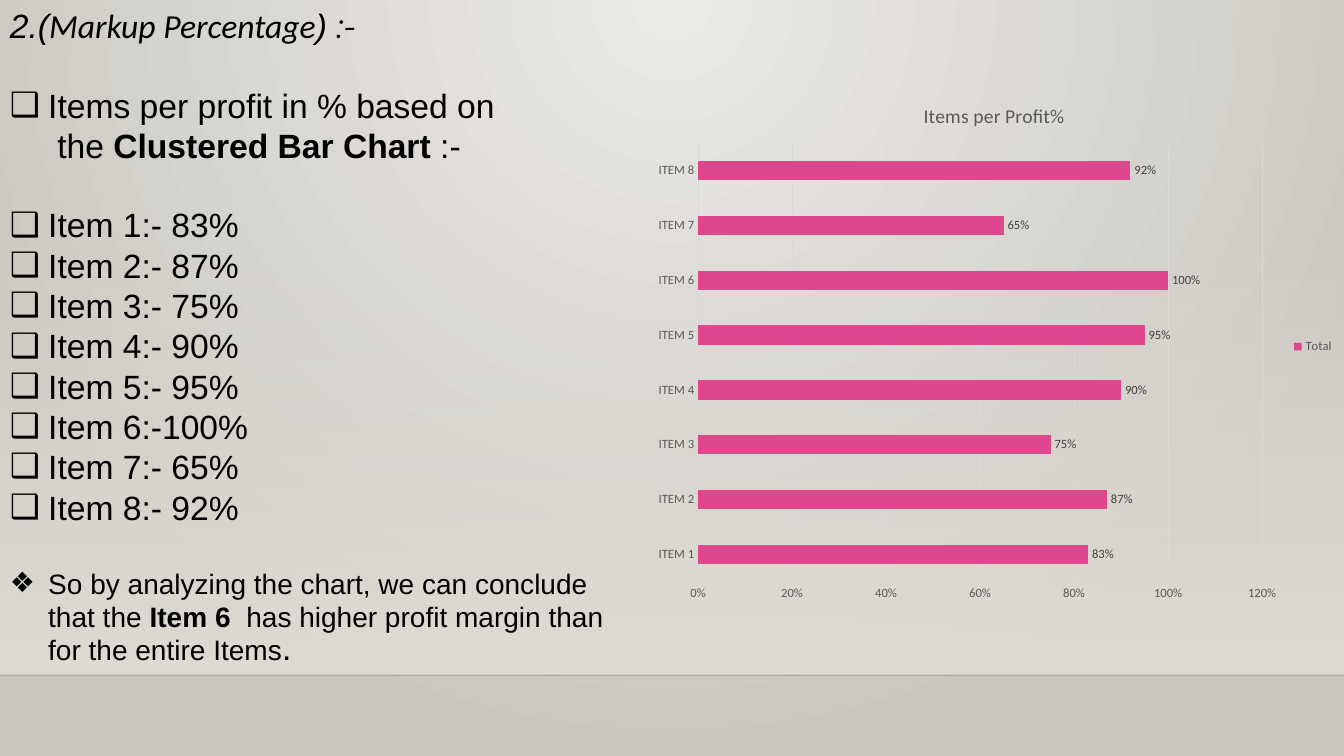
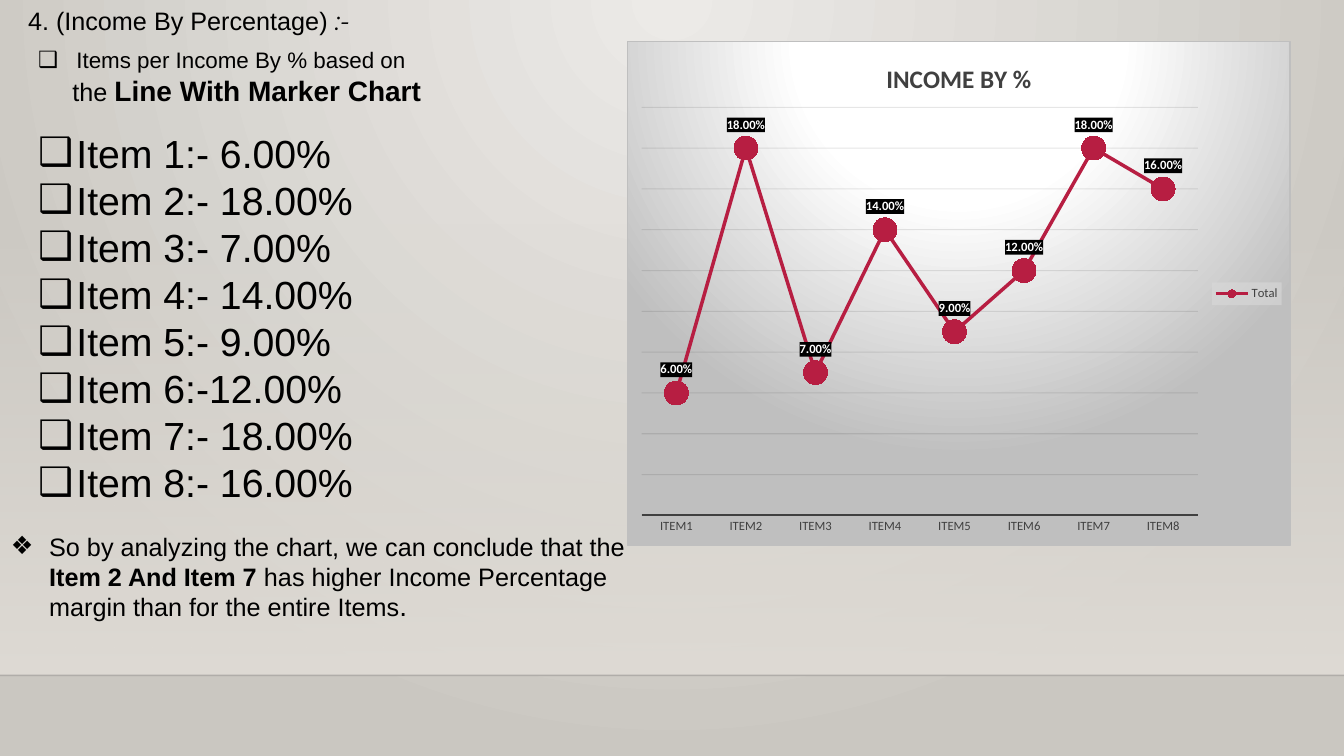
from dataclasses import dataclass

from pptx import Presentation
from pptx.chart.data import CategoryChartData
from pptx.dml.color import RGBColor
from pptx.enum.chart import XL_CHART_TYPE, XL_LABEL_POSITION, XL_LEGEND_POSITION, XL_MARKER_STYLE, XL_TICK_LABEL_POSITION, XL_TICK_MARK
from pptx.enum.shapes import MSO_CONNECTOR, MSO_SHAPE
from pptx.oxml import parse_xml
from pptx.oxml.ns import nsdecls, qn
from pptx.util import Inches, Pt


@dataclass(frozen=True)
class Theme:
    text: str = "000000"
    glow: str = "ECEAE7"
    edge: str = "CAC7C1"
    floor: str = "DFDBD5"
    rule: str = "000001"
    soft: str = "595959"
    strong: str = "404040"
    pale: str = "D9D9D9"
    grid: str = "0D0D0D"
    white: str = "FFFFFF"
    silver: str = "BFBFBF"
    pink: str = "DE478E"
    red: str = "B71E42"
    body: str = "Arial"
    chart: str = "Calibri"
    accent: str = "Montserrat"
    small: int = 9
    leading: float = 1.2


THEME = Theme()
BOX, DIAMOND = "❑", "❖"
HANG = 0.38

MARKUP = [0.83, 0.87, 0.75, 0.9, 0.95, 1, 0.65, 0.92]
INCOME = [0.06, 0.18, 0.07, 0.14, 0.09, 0.12, 0.18, 0.16]
MARKUP_ITEMS = ["Item 1:- 83%", "Item 2:- 87%", "Item 3:- 75%", "Item 4:- 90%",
                "Item 5:- 95%", "Item 6:-100%", "Item 7:- 65%", "Item 8:- 92%"]
INCOME_ITEMS = ["Item 1:- 6.00%", "Item 2:- 18.00%", "Item 3:- 7.00%", "Item 4:- 14.00%",
                "Item 5:- 9.00%", "Item 6:-12.00%", "Item 7:- 18.00%", "Item 8:- 16.00%"]


def item_lines(items, size, first_gap=0):
    return [dict(bullet=BOX, size=size, before=0 if n else first_gap, runs=[(item, {})])
            for n, item in enumerate(items)]


SLIDES = [
    dict(
        texts=[
            ((0, 0, 6.39, 6.7), [
                dict(size=24, runs=[
                    ("2.(", dict(italic=True)),
                    ("Markup Percentage", dict(italic=True, name=THEME.chart)),
                    (") ", dict(italic=True)),
                    (":-", dict(italic=True, name=THEME.accent))]),
                dict(bullet=BOX, size=24, before=28,
                     runs=[("Items per profit in % based on", {})]),
                dict(indent=0.47, size=24, runs=[
                    ("the ", {}), ("Clustered Bar Chart ", dict(bold=True)), (":-", {})]),
                *item_lines(MARKUP_ITEMS, 24, 28),
                dict(bullet=DIAMOND, size=20, before=28, runs=[
                    ("So by analyzing the chart, we can conclude that the ", {}),
                    ("Item 6  ", dict(bold=True)),
                    ("has higher profit margin than for the entire Items", {}),
                    (".", dict(size=Pt(24)))]),
            ]),
        ],
        chart=dict(
            kind=XL_CHART_TYPE.BAR_CLUSTERED, box=(6.39, 0.82, 6.94, 5.24),
            plot=(0.077, 0.115, 0.806, 0.83), title="Items per Profit%",
            title_font=dict(size=Pt(14), bold=False), ink=THEME.soft,
            categories=[f"ITEM {n}" for n in range(1, 9)], values=MARKUP,
            number_format="0%", scale=dict(minimum_scale=0, maximum_scale=1.2, major_unit=0.2),
            axis_line=(THEME.pale, 0.75), grid=(THEME.pale, 100),
            label_font=dict(bold=False), label_color=THEME.strong,
            label_position=XL_LABEL_POSITION.OUTSIDE_END),
    ),
    dict(
        texts=[
            ((0.18, 0, 4.86, 0.4), [
                dict(size=18, runs=[("4. (Income By Percentage) ", {}),
                                    (":-", dict(italic=True, name=THEME.accent))])]),
            ((0.28, 0.41, 4.13, 1.01), [
                dict(bullet=BOX, size=16, runs=[("Items per Income By % based on", {})]),
                dict(indent=0.34, size=18, runs=[
                    ("the ", {}),
                    ("Line With Marker Chart", dict(size=Pt(20), bold=True))])]),
            ((0.28, 1.23, 4.63, 3.87), item_lines(INCOME_ITEMS, 28)),
            ((0.01, 5.22, 6.67, 1.04), [
                dict(bullet=DIAMOND, size=18, runs=[
                    ("So by analyzing the chart, we can conclude that the ", {}),
                    ("Item 2 And Item 7 ", dict(bold=True)),
                    ("has higher Income Percentage margin than for the entire Items", {}),
                    (".", dict(size=Pt(20)))])]),
        ],
        chart=dict(
            kind=XL_CHART_TYPE.LINE_MARKERS, box=(6.22, 0.41, 6.58, 5.01),
            plot=(0.021, 0.13, 0.84, 0.81), title="INCOME BY %",
            title_font=dict(size=Pt(18), bold=True), ink=THEME.strong,
            categories=[f"ITEM{n}" for n in range(1, 9)], values=INCOME,
            number_format="0.00%", scale=dict(minimum_scale=0, maximum_scale=0.2, major_unit=0.02),
            axis_line=(THEME.strong, 1.5), grid=(THEME.grid, 10),
            label_font=dict(bold=True), label_color=THEME.white,
            label_position=XL_LABEL_POSITION.ABOVE),
    ),
]


def assign(target, values):
    for key, value in values.items():
        setattr(target, key, value)


def style_font(font, color, **values):
    assign(font, values)
    font.color.rgb = RGBColor.from_string(color)


def style_line(line, color, width):
    line.color.rgb = RGBColor.from_string(color)
    line.width = Pt(width)


def solid(color, alpha=100):
    return (f'<a:solidFill><a:srgbClr val="{color}"><a:alpha val="{alpha * 1000}"/>'
            '</a:srgbClr></a:solidFill>')


def gradient(stops, direction):
    marks = "".join(f'<a:gs pos="{pos * 1000}"><a:srgbClr val="{color}">'
                    f'<a:alpha val="{alpha * 1000}"/></a:srgbClr></a:gs>'
                    for pos, color, alpha in stops)
    return f'<a:gradFill {nsdecls("a")} rotWithShape="1"><a:gsLst>{marks}</a:gsLst>{direction}</a:gradFill>'


def radial(left, top, right, bottom):
    sides = " ".join(f'{side}="{value * 1000}"'
                     for side, value in zip("ltrb", (left, top, right, bottom)))
    return f'<a:path path="circle"><a:fillToRect {sides}/></a:path>'


def chart_part(tag, content):
    return parse_xml(f'<c:{tag} {nsdecls("c", "a")}>{content}</c:{tag}>')


def set_alpha(line, alpha):
    color = line._ln.find(f'.//{qn("a:srgbClr")}')
    color.append(parse_xml(f'<a:alpha {nsdecls("a")} val="{alpha * 1000}"/>'))


def build_backdrop(layout, slide):
    fill = gradient([(0, THEME.glow, 100), (100, THEME.edge, 100)], radial(43, 0, 43, 100))
    layout._element.cSld.insert(0, parse_xml(
        f'<p:bg {nsdecls("p", "a")}><p:bgPr>{fill}<a:effectLst/></p:bgPr></p:bg>'))

    wall = slide.shapes.add_shape(MSO_SHAPE.RECTANGLE, 0, Inches(2.21), Inches(13.33), Inches(4.49))
    wall.shadow.inherit = False
    wall.line.fill.background()
    wall.fill.background()
    no_fill = wall._element.spPr.find(qn("a:noFill"))
    no_fill.addprevious(parse_xml(gradient(
        [(0, THEME.floor, 0), (100, THEME.floor, 100)], '<a:lin ang="5400000" scaled="0"/>')))
    wall._element.spPr.remove(no_fill)

    horizon = slide.shapes.add_connector(
        MSO_CONNECTOR.STRAIGHT, 0, Inches(6.7), Inches(13.33), Inches(6.7))
    style_line(horizon.line, THEME.rule, 1)
    set_alpha(horizon.line, 20)
    horizon._element.spPr.append(parse_xml(f'<a:effectLst {nsdecls("a")}/>'))
    for part in (wall, horizon):
        layout.shapes._spTree.append(part._element)


def add_text(slide, box, lines):
    frame = slide.shapes.add_textbox(*map(Inches, box)).text_frame
    frame.word_wrap = True
    for n, line in enumerate(lines):
        paragraph = frame.add_paragraph() if n else frame.paragraphs[0]
        size = Pt(line["size"])
        tallest = max(values.get("size", size) for _, values in line["runs"][:2])
        assign(paragraph, dict(space_before=Pt(line.get("before", 0)),
                               line_spacing=Pt(tallest.pt * THEME.leading)))
        properties = paragraph._p.get_or_add_pPr()
        bullet = line.get("bullet")
        properties.set("marL", str(Inches(HANG if bullet else line.get("indent", 0))))
        properties.set("indent", str(Inches(-HANG if bullet else 0)))
        if bullet:
            properties.append(parse_xml(f'<a:buFont {nsdecls("a")} typeface="{THEME.body}"/>'))
            properties.append(parse_xml(f'<a:buChar {nsdecls("a")} char="{bullet}"/>'))
        for words, values in line["runs"]:
            run = paragraph.add_run()
            run.text = words
            style_font(run.font, THEME.text, **{"name": THEME.body, "size": size, **values})


def add_percent_chart(slide, spec):
    data = CategoryChartData(number_format=spec["number_format"])
    data.categories = spec["categories"]
    data.add_series("Total", spec["values"])
    chart = slide.shapes.add_chart(spec["kind"], *map(Inches, spec["box"]), data).chart
    small = dict(name=THEME.chart, size=Pt(THEME.small))
    style_font(chart.font, THEME.text, name=THEME.chart, size=Pt(10))

    assign(chart, dict(has_title=True, has_legend=True))
    chart.chart_title.include_in_layout = False
    heading = chart.chart_title.text_frame.paragraphs[0].add_run()
    heading.text = spec["title"]
    style_font(heading.font, spec["ink"], name=THEME.chart, **spec["title_font"])
    assign(chart.legend, dict(position=XL_LEGEND_POSITION.RIGHT, include_in_layout=False))
    style_font(chart.legend.font, spec["ink"], **small)

    no_ticks = dict(major_tick_mark=XL_TICK_MARK.NONE, minor_tick_mark=XL_TICK_MARK.NONE)
    assign(chart.category_axis, no_ticks)
    style_font(chart.category_axis.tick_labels.font, spec["ink"], **small)
    style_line(chart.category_axis.format.line, *spec["axis_line"])
    assign(chart.value_axis, {**no_ticks, **spec["scale"], "has_major_gridlines": True})
    chart.value_axis.format.line.fill.background()
    style_font(chart.value_axis.tick_labels.font, spec["ink"], **small)
    percent = dict(number_format=spec["number_format"], number_format_is_linked=False)
    assign(chart.value_axis.tick_labels, percent)
    grid_color, grid_alpha = spec["grid"]
    grid_line = chart.value_axis.major_gridlines.format.line
    style_line(grid_line, grid_color, 0.75)
    set_alpha(grid_line, grid_alpha)

    plot = chart.plots[0]
    assign(plot, dict(vary_by_categories=False, has_data_labels=True))
    assign(plot.data_labels, {**percent, "show_value": True, "position": spec["label_position"]})
    style_font(plot.data_labels.font, spec["label_color"], **small, **spec["label_font"])

    area = chart._chartSpace.chart.plotArea
    for old in area.findall(qn("c:layout")):
        area.remove(old)
    places = "".join(f'<c:{key} val="{value}"/>' for key, value in zip("xywh", spec["plot"]))
    area.insert(0, chart_part("layout", (
        '<c:manualLayout><c:layoutTarget val="inner"/><c:xMode val="edge"/>'
        f'<c:yMode val="edge"/>{places}</c:manualLayout>')))
    return chart


def set_surface(chart, content):
    chart._chartSpace.chart.addnext(chart_part("spPr", content))


def finish_bars(chart):
    chart.plots[0].gap_width = 182
    bars = chart.plots[0].series[0].format.fill
    bars.solid()
    bars.fore_color.rgb = RGBColor.from_string(THEME.pink)
    set_surface(chart, "<a:noFill/><a:ln><a:noFill/></a:ln>")


def finish_line(chart):
    chart.value_axis.tick_label_position = XL_TICK_LABEL_POSITION.NONE
    trend = chart.plots[0].series[0]
    trend.smooth = False
    style_line(trend.format.line, THEME.red, 2.5)
    assign(trend.marker, dict(style=XL_MARKER_STYLE.CIRCLE, size=17))
    trend.marker.format.fill.solid()
    trend.marker.format.fill.fore_color.rgb = RGBColor.from_string(THEME.red)
    trend.marker.format.line.fill.background()
    labels = chart.plots[0].data_labels._element
    labels.find(qn("c:txPr")).addprevious(chart_part("spPr", solid(THEME.text)))
    legend = chart.legend._element
    legend.find(qn("c:txPr")).addprevious(chart_part("spPr", solid(THEME.pale, 60)))
    glow = gradient([(0, THEME.white, 100), (39, THEME.white, 100), (100, THEME.silver, 100)],
                    radial(50, -80, 50, 180))
    set_surface(chart, f'{glow}<a:ln w="{Pt(0.75)}">{solid(THEME.silver)}</a:ln>')


FINISH = {XL_CHART_TYPE.BAR_CLUSTERED: finish_bars, XL_CHART_TYPE.LINE_MARKERS: finish_line}


def main():
    prs = Presentation()
    assign(prs, dict(slide_width=Inches(13.33), slide_height=Inches(7.5)))
    blank = prs.slide_layouts[6]
    for n, content in enumerate(SLIDES):
        slide = prs.slides.add_slide(blank)
        if n == 0:
            build_backdrop(blank, slide)
        for box, lines in content["texts"]:
            add_text(slide, box, lines)
        FINISH[content["chart"]["kind"]](add_percent_chart(slide, content["chart"]))
    prs.save("out.pptx")


if __name__ == "__main__":
    main()
